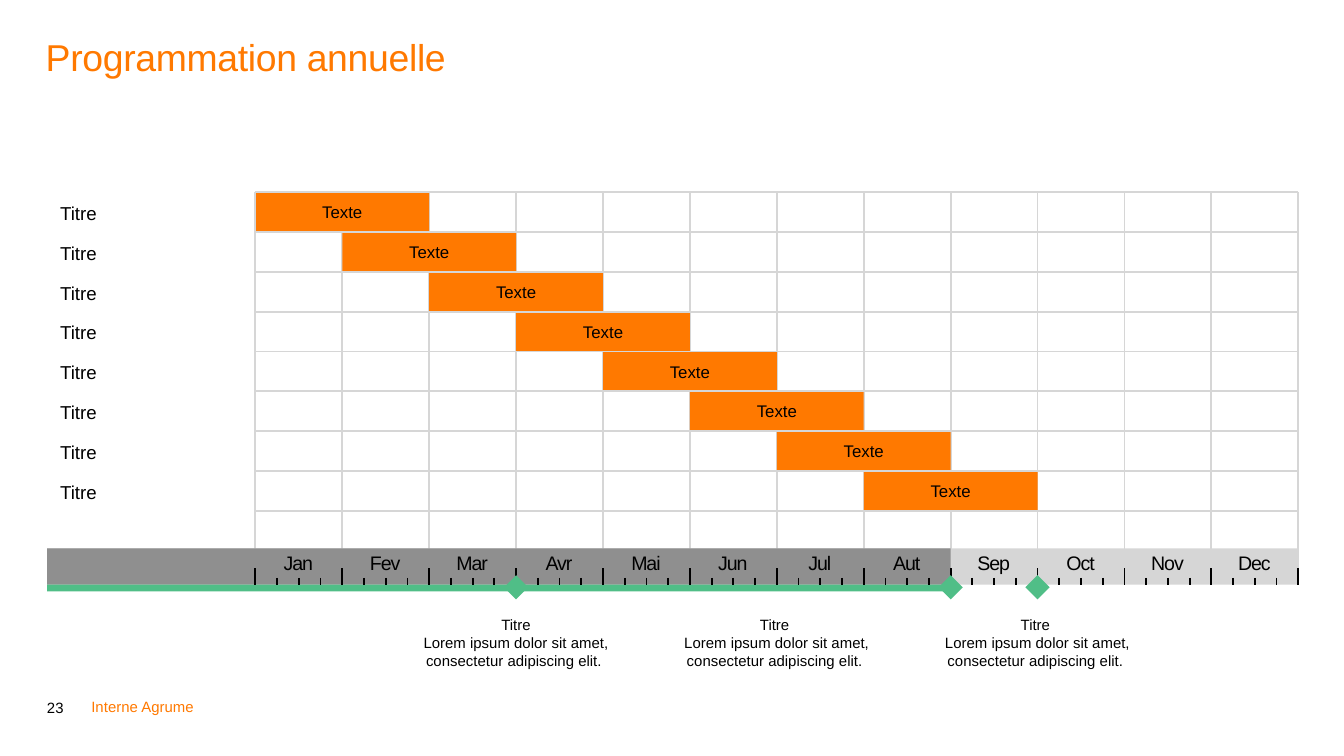
from lxml.etree import SubElement
from pptx import Presentation
from pptx.dml.color import RGBColor
from pptx.enum.shapes import MSO_CONNECTOR as Link, MSO_SHAPE as Kind
from pptx.enum.text import MSO_ANCHOR as Anchor, PP_ALIGN as Align
from pptx.oxml.ns import qn
from pptx.util import Inches, Pt

ORANGE, GREEN, BLACK = "FF7900", "50BE87", "000000"
PALE, GREY = "D6D6D6", "8F8F8F"
MONTHS = "Jan Fev Mar Avr Mai Jun Jul Aut Sep Oct Nov Dec".split()
LEFT, RIGHT, TOP, LAST = 1.9, 9.66, 1.43, 3.8
EDGE, BAND, BASE = 0.35, 4.08, 4.35
TASKS, DONE = 8, 8
STEP = (RIGHT - LEFT) / len(MONTHS)
ROW = (LAST - TOP) / TASKS
HEADS = ("Titre", "Titre ", "Titre ")
NOTE = "Lorem ipsum dolor sit amet, consectetur adipiscing elit. "


def color(code):
    """Turn a hex string into a colour."""
    return RGBColor.from_string(code)


def month(num):
    """Give the x position where a month starts."""
    return LEFT + num * STEP


def write(frame, text, size, code=BLACK, align=Align.LEFT, anchor=Anchor.TOP,
          pad=(0, 0), wrap=True, space=0, lines=None):
    """Fill a text frame with one styled paragraph."""
    frame.word_wrap = wrap
    frame.vertical_anchor = anchor
    frame.margin_left = frame.margin_right = Inches(pad[0])
    frame.margin_top = frame.margin_bottom = Inches(pad[1])
    par = frame.paragraphs[0]
    par.text = text
    par.alignment = align
    par.line_spacing = lines
    par.font.name = "Arial"
    par.font.size = Pt(size)
    par.font.color.rgb = color(code)
    if space:
        for run in par.runs:
            run._r.get_or_add_rPr().set("spc", str(round(space * 100)))


def label(slide, box, text, size, **style):
    """Add a text box."""
    area = slide.shapes.add_textbox(*map(Inches, box))
    write(area.text_frame, text, size, **style)


def block(slide, box, code, kind=Kind.RECTANGLE):
    """Add a filled shape without outline."""
    shape = slide.shapes.add_shape(kind, *map(Inches, box))
    shape.shadow.inherit = False
    shape.fill.solid()
    shape.fill.fore_color.rgb = color(code)
    shape.line.fill.background()
    return shape


def rule(slide, start, end, code):
    """Add a thin straight line."""
    line = slide.shapes.add_connector(Link.STRAIGHT, *map(Inches, start + end))
    line.line.color.rgb = color(code)
    line.line.width = Pt(1)
    SubElement(line._element.spPr, qn("a:effectLst"))


def grid(slide):
    """Draw the month grid with its task bars and row titles."""
    count = len(MONTHS)
    for num in range(1, count):
        rule(slide, (month(num), 4.23), (month(num), TOP), PALE)
    for num in range(TASKS):
        y = TOP + num * ROW
        bar = block(slide, (month(num), y, 2 * STEP, ROW), ORANGE)
        write(bar.text_frame, "Texte", 9, align=Align.CENTER,
              anchor=Anchor.MIDDLE, pad=(0, 0.05))
        label(slide, (EDGE, y + 0.02, 1.56, 0.27), "Titre", 10,
              anchor=Anchor.MIDDLE, pad=(0.1, 0.05))
    for num in range(TASKS + 1):
        y = TOP + num * ROW
        rule(slide, (LEFT, y), (RIGHT, y), PALE)
    for x in (LEFT, RIGHT):
        rule(slide, (x, 4.23), (x, TOP), PALE)


def scale(slide):
    """Draw the month band with its progress, ticks and names."""
    done = month(DONE) - EDGE
    block(slide, (EDGE, BAND, RIGHT - EDGE, BASE - BAND), PALE)
    block(slide, (EDGE, BAND, done, BASE - BAND), GREY)
    block(slide, (EDGE, BASE, done, 0.05), GREEN)
    for tick in range(4 * len(MONTHS) + 1):
        x = month(tick / 4)
        rule(slide, (x, 4.3 if tick % 4 else 4.23), (x, BASE), BLACK)
    for num, name in enumerate(MONTHS):
        label(slide, (month(num) + 0.02, 4.04, 0.6, 0.29), name, 10.5,
              align=Align.CENTER, anchor=Anchor.MIDDLE, pad=(0.1, 0.05),
              space=-0.5)


def marks(slide):
    """Add the milestone diamonds and their notes."""
    for num in (3, 8, 9):
        block(slide, (month(num) - 0.09, 4.28, 0.18, 0.18), GREEN,
              Kind.FLOWCHART_DECISION)
    for num, head in enumerate(HEADS):
        label(slide, (2.94 + num * 3 * STEP, 4.58, 1.8, 0.4),
              head + "\n" + NOTE, 8, align=Align.CENTER)


def main():
    """Build and save the slide."""
    deck = Presentation()
    deck.slide_width, deck.slide_height = Inches(10), Inches(10 * 9 / 16)
    slide = deck.slides.add_slide(deck.slide_layouts[6])
    label(slide, (0.34, 0.29, 9.31, 0.81), "Programmation annuelle", 20,
          code=ORANGE, space=-0.2, lines=0.9)
    grid(slide)
    scale(slide)
    marks(slide)
    label(slide, (0.34, 4.96, 0.3, 0.37), "23", 8, anchor=Anchor.BOTTOM,
          pad=(0.01, 0), lines=0.85)
    label(slide, (0.68, 5.19, 0.81, 0.13), "Interne Agrume", 8, code=ORANGE,
          wrap=False)
    deck.save("out.pptx")


if __name__ == "__main__":
    main()
